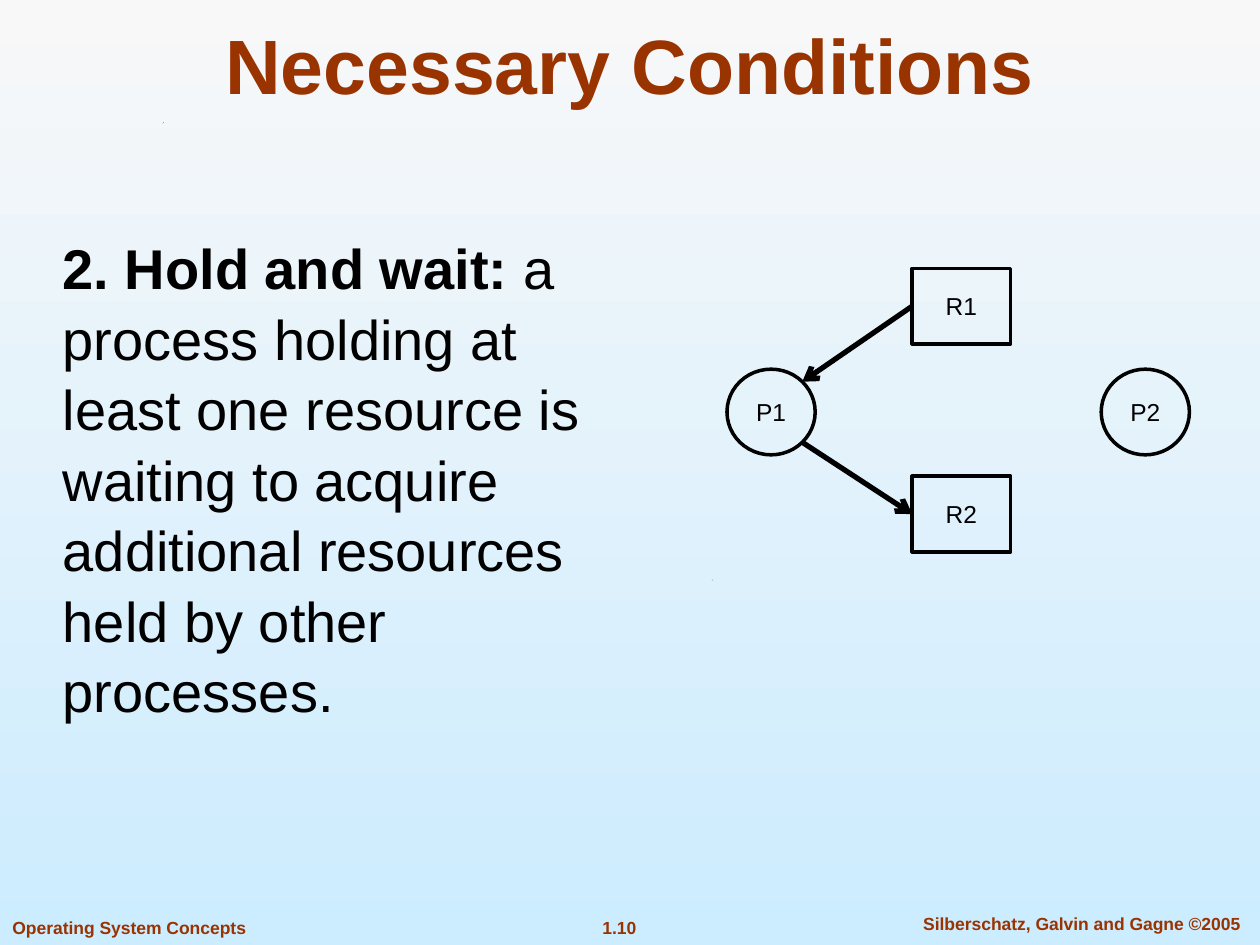
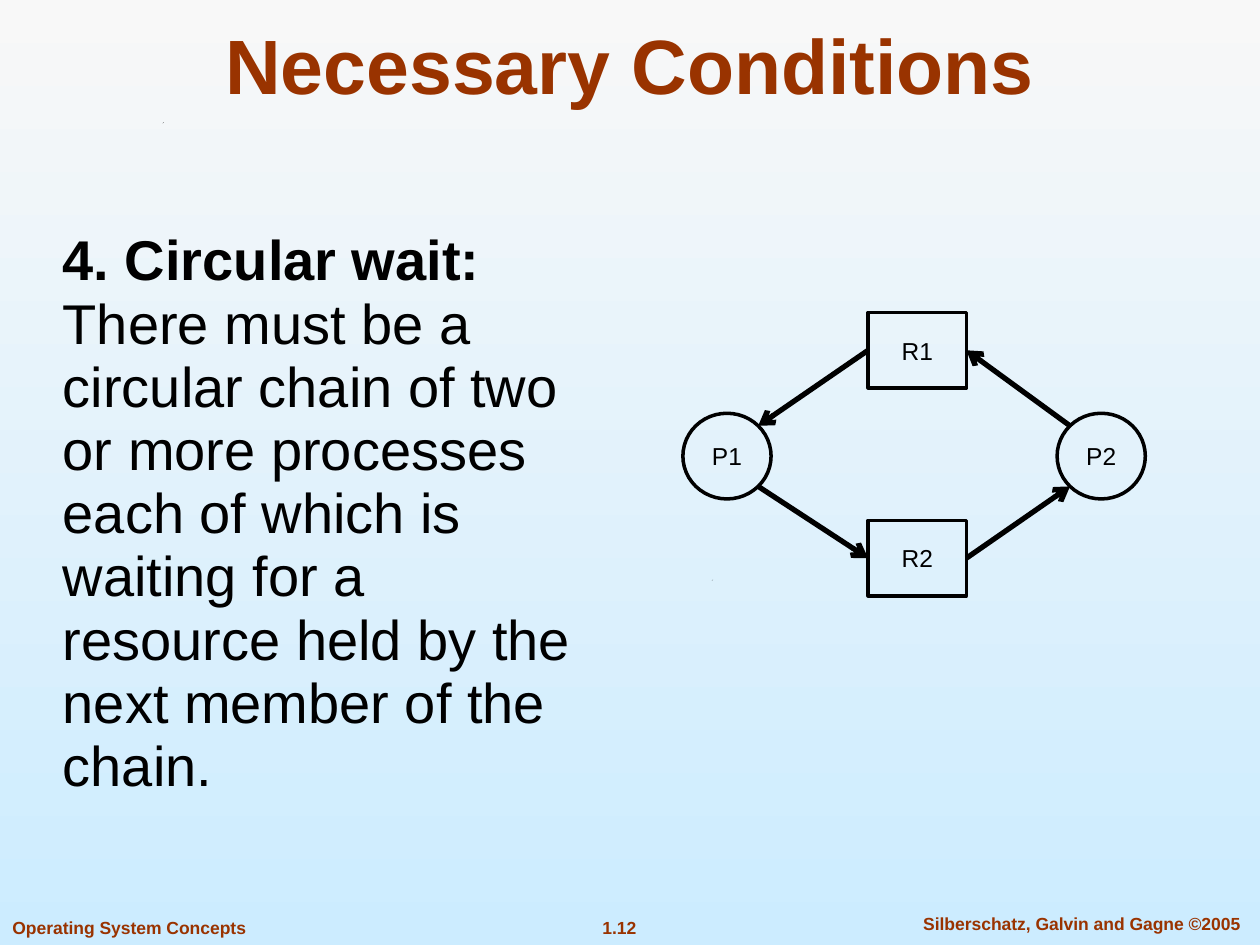
"""Build two slides on the necessary conditions for deadlock."""
from dataclasses import dataclass
from math import sqrt

from lxml import etree
from pptx import Presentation
from pptx.dml.color import RGBColor
from pptx.enum.shapes import MSO_CONNECTOR, MSO_SHAPE
from pptx.enum.text import MSO_ANCHOR, PP_ALIGN
from pptx.oxml.ns import qn
from pptx.util import Inches, Pt

LEFT, MID = PP_ALIGN.LEFT, PP_ALIGN.CENTER
TOP, CORE, BASE = MSO_ANCHOR.TOP, MSO_ANCHOR.MIDDLE, MSO_ANCHOR.BOTTOM
RECT, OVAL, LINE = MSO_SHAPE.RECTANGLE, MSO_SHAPE.OVAL, MSO_CONNECTOR.STRAIGHT
WIDTH, HEIGHT = Inches(10), Inches(7.5)
COLS, ROWS = 100, 75


@dataclass(frozen=True)
class Theme:
    """Colours, font and sizes used on every slide."""
    ink: str = "000000"
    rust: str = "993300"
    sky: tuple[str, str] = ("F8F8F8", "CCECFF")
    font: str = "Arial"
    title: int = 44
    body: int = 32
    label: int = 14
    foot: int = 10
    edge: int = 2
    arrow: int = 3


@dataclass(frozen=True)
class Box:
    """A place in columns and rows of the grid."""
    col: float
    row: float
    wide: float
    high: float

    def spans(self) -> tuple[int, int, int, int]:
        """Return left, top, width and height in slide lengths."""
        return across(self.col), down(self.row), across(self.wide), down(self.high)


@dataclass(frozen=True)
class Node:
    """A process or resource, placed from the graph's corner."""
    name: str
    kind: int
    box: Box


@dataclass(frozen=True)
class Link:
    """An edge between a resource and a process."""
    start: str
    end: str


@dataclass(frozen=True)
class Page:
    """What differs from slide to slide."""
    number: str
    head: str
    text: str
    pitch: float
    col: float
    row: float
    links: tuple[Link, ...]


THEME = Theme()
TITLE = "Necessary Conditions"
FOOTS = (
    ("Operating System Concepts", Box(0, 72.3, 22.1, 2.7), LEFT),
    ("Silberschatz, Galvin and Gagne ©2005", Box(71, 72, 29.7, 2.7), MID),
)
PAGE_BOX = Box(46.7, 72.3, 4.9, 2.7)
SPECKS = ((12.9, 9.7), (56.5, 46))
NODES = (
    Node("R1", RECT, Box(14.7, 0, 7.8, 6)),
    Node("R2", RECT, Box(14.7, 16.5, 7.8, 6)),
    Node("P1", OVAL, Box(0, 8, 7, 6.8)),
    Node("P2", OVAL, Box(29.7, 8, 7, 6.8)),
)
HOLD = (Link("R1", "P1"), Link("P1", "R2"))
RING = HOLD + (Link("R2", "P2"), Link("P2", "R1"))
PAGES = (
    Page("1.10", "2. Hold and wait: ",
         "a process holding at least one resource is waiting to acquire "
         "additional resources held by other processes.",
         1.05, 57.7, 21.3, HOLD),
    Page("1.12", "4. Circular wait:",
         " There must be a circular chain of two or more processes each of which "
         "is waiting for a resource held by the next member of the chain.",
         0.94, 54.2, 24.8, RING),
)


def across(cols: float) -> int:
    """Turn columns into a length."""
    return round(WIDTH * cols / COLS)


def down(rows: float) -> int:
    """Turn rows into a length."""
    return round(HEIGHT * rows / ROWS)


def tint(code: str) -> RGBColor:
    """Turn a hex code into a colour."""
    return RGBColor.from_string(code)


def write(shape, *parts: tuple[str, bool], size: int, color: str = THEME.ink,
          align=MID, anchor=TOP, pitch: float = 1.0, wrap: bool = True) -> None:
    """Put bold or plain parts into the shape as one paragraph."""
    frame = shape.text_frame
    frame.word_wrap, frame.vertical_anchor = wrap, anchor
    para = frame.paragraphs[0]
    para.alignment, para.line_spacing = align, pitch
    for text, bold in parts:
        run = para.add_run()
        run.text = text
        run.font.name, run.font.size, run.font.bold = THEME.font, Pt(size), bold
        run.font.color.rgb = tint(color)


def paint(master) -> None:
    """Give the master its sky from top to bottom."""
    fill = master.background.fill
    fill.gradient()
    fill.gradient_angle = 270
    for stop, code in zip(fill.gradient_stops, THEME.sky):
        stop.color.rgb = tint(code)


def speck(slide, col: float, row: float) -> None:
    """Draw a tiny dark wedge."""
    x, y, side = across(col), down(row), across(0.1)
    pen = slide.shapes.build_freeform(x, y + side)
    pen.add_line_segments([(x + side // 2, y + side // 2), (x + side, y)])
    wedge = pen.convert_to_shape()
    wedge.shadow.inherit = False
    wedge.fill.solid()
    wedge.fill.fore_color.rgb = tint(THEME.ink)
    wedge.line.fill.background()


def frame(slide, number: str) -> None:
    """Draw the title, footers and specks that slides share."""
    for col, row in SPECKS:
        speck(slide, col, row)
    for text, box, align in FOOTS + ((number, PAGE_BOX, MID),):
        write(slide.shapes.add_textbox(*box.spans()), (text, True),
              size=THEME.foot, color=THEME.rust, align=align)
    write(slide.shapes.add_textbox(*Box(5, 0, 90, 9.2).spans()), (TITLE, True),
          size=THEME.title, color=THEME.rust, anchor=BASE)


def place(slide, node: Node, col: float, row: float):
    """Draw one node of the graph."""
    box = Box(col + node.box.col, row + node.box.row, node.box.wide, node.box.high)
    shape = slide.shapes.add_shape(node.kind, *box.spans())
    shape.shadow.inherit = False
    shape.fill.background()
    shape.line.color.rgb = tint(THEME.ink)
    shape.line.width = Pt(THEME.edge)
    write(shape, (node.name, False), size=THEME.label, anchor=CORE, wrap=False)
    return shape


def facing(shape, other) -> tuple[int, int]:
    """Find the diagonal point of an oval nearest the other shape."""
    near = 1 / sqrt(8)
    x, y = shape.left + shape.width / 2, shape.top + shape.height / 2
    right = 1 if other.left > shape.left else -1
    below = 1 if other.top > shape.top else -1
    return round(x + right * near * shape.width), round(y + below * near * shape.height)


def join(slide, start, end) -> None:
    """Draw an arrow, glued to the side of its rectangle."""
    line = slide.shapes.add_connector(LINE, *facing(start, end), *facing(end, start))
    if start.auto_shape_type == RECT:
        line.begin_connect(start, 1 if end.left < start.left else 3)
    else:
        line.end_connect(end, 1 if start.left < end.left else 3)
    line.line.color.rgb = tint(THEME.ink)
    line.line.width = Pt(THEME.arrow)
    etree.SubElement(line.line._get_or_add_ln(), qn("a:tailEnd"), type="arrow")
    etree.SubElement(line._element.spPr, qn("a:effectLst"))


def build(slide, page: Page) -> None:
    """Fill one slide with its condition and graph."""
    frame(slide, page.number)
    write(slide.shapes.add_textbox(*Box(4, 17.8, 44.2, 49).spans()),
          (page.head, True), (page.text, False),
          size=THEME.body, align=LEFT, pitch=page.pitch)
    shapes = {node.name: place(slide, node, page.col, page.row) for node in NODES}
    for link in page.links:
        join(slide, shapes[link.start], shapes[link.end])


def main() -> None:
    """Build and save the deck."""
    deck = Presentation()
    deck.slide_width, deck.slide_height = WIDTH, HEIGHT
    paint(deck.slide_master)
    for page in PAGES:
        build(deck.slides.add_slide(deck.slide_layouts[6]), page)
    deck.save("out.pptx")


if __name__ == "__main__":
    main()
